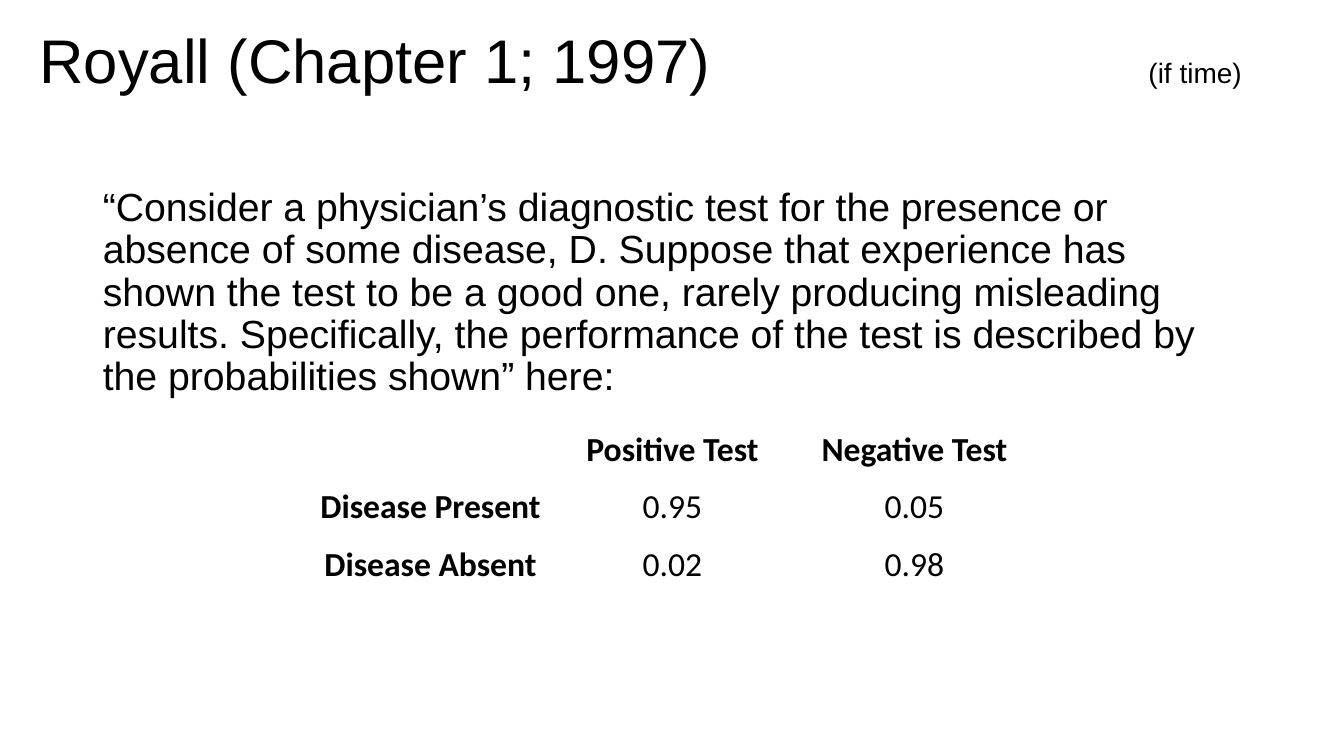
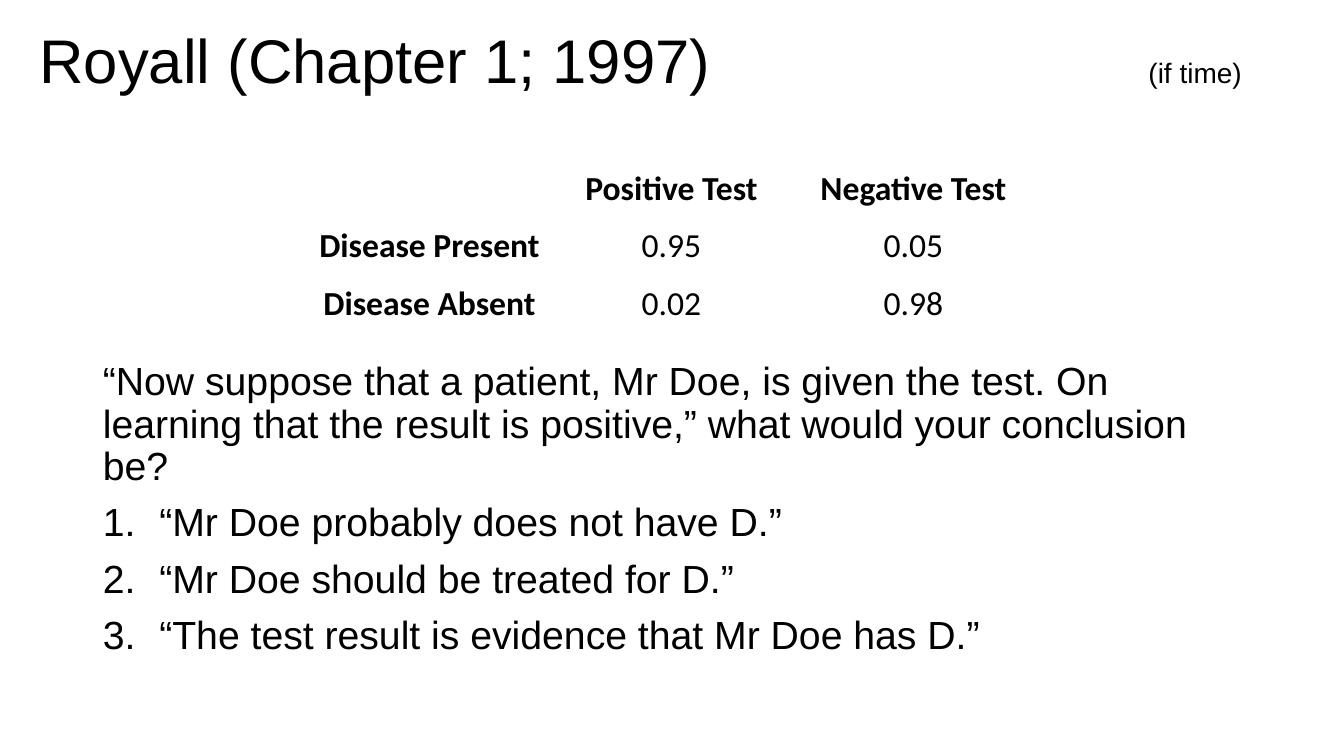
from dataclasses import dataclass
from typing import Any

from lxml import etree
from pptx import Presentation
from pptx.dml.color import RGBColor
from pptx.enum.text import MSO_ANCHOR, MSO_AUTO_SIZE, PP_ALIGN
from pptx.oxml.ns import qn
from pptx.util import Inches, Pt

LEFT, CENTER = PP_ALIGN.LEFT, PP_ALIGN.CENTER
TOP, MIDDLE = MSO_ANCHOR.TOP, MSO_ANCHOR.MIDDLE
NO_FIT = MSO_AUTO_SIZE.NONE

BLACK, WHITE = "000000", "FFFFFF"
TITLE = "Royall (Chapter 1; 1997)"
ASIDE = "(if time)"
ASIDE_LEFT = 11
INDENT = 0.56
COL_WIDTH, ROW_HEIGHT = 2.4, 0.57
ODDS = [
    ["", "Positive Test", "Negative Test"],
    ["Disease Present", "0.95", "0.05"],
    ["Disease Absent", "0.02", "0.98"],
]

TITLE_FONT = {"name": "Arial", "size": Pt(44), "bold": False}
ASIDE_FONT = {**TITLE_FONT, "size": Pt(20)}
BODY_FONT = {**TITLE_FONT, "size": Pt(28)}
CELL_FONT = {"name": "Calibri", "size": Pt(24)}
TITLE_FRAME = {"vertical_anchor": MIDDLE, "auto_size": NO_FIT, "word_wrap": True}
BODY_FRAME = {**TITLE_FRAME, "vertical_anchor": TOP}
TITLE_PARA = {"alignment": LEFT, "line_spacing": 0.9}
BODY_PARA = {**TITLE_PARA, "space_before": Pt(10)}


@dataclass(frozen=True)
class Page:
    quote: str
    choices: tuple[str, ...]
    body_top: float
    table_left: float
    table_top: float


PAGES = [
    Page(
        "“Consider a physician’s diagnostic test for the presence or absence "
        "of some disease, D. Suppose that experience has shown the test to be "
        "a good one, rarely producing misleading results. Specifically, the "
        "performance of the test is described by the probabilities shown” here:",
        (), 1.81, 3.07, 4.18,
    ),
    Page(
        "“Now suppose that a patient, Mr Doe, is given the test. On learning "
        "that the result is positive,” what would your conclusion be?",
        (
            "“Mr Doe probably does not have D.”",
            "“Mr Doe should be treated for D.”",
            "“The test result is evidence that Mr Doe has D.”",
        ),
        3.54, 3.06, 1.59,
    ),
]


def color(code: str) -> RGBColor:
    return RGBColor.from_string(code)


def apply(target: Any, values: dict[str, Any]) -> None:
    for name, value in values.items():
        setattr(target, name, value)


def place(shape: Any, left: float, top: float, width: float, height: float) -> None:
    box = {"left": left, "top": top, "width": width, "height": height}
    apply(shape, {name: Inches(value) for name, value in box.items()})


def write(para: Any, text: str, font: dict[str, Any]) -> None:
    run = para.add_run()
    run.text = text
    apply(run.font, font)
    run.font.color.rgb = color(BLACK)


def draw_title(shape: Any) -> None:
    place(shape, 0.29, 0.02, 12.73, 1.23)
    apply(shape.text_frame, TITLE_FRAME)
    para = shape.text_frame.paragraphs[0]
    apply(para, TITLE_PARA)
    stops = etree.SubElement(para._p.get_or_add_pPr(), qn("a:tabLst"))
    etree.SubElement(stops, qn("a:tab"), pos=str(Inches(ASIDE_LEFT)), algn="l")
    write(para, TITLE + "\t", TITLE_FONT)
    write(para, ASIDE, ASIDE_FONT)


def draw_line(para: Any, text: str, choice: bool) -> None:
    apply(para, BODY_PARA)
    props = para._p.get_or_add_pPr()
    indent = Inches(INDENT) if choice else 0
    props.set("marL", str(indent))
    props.set("indent", str(-indent))
    if choice:
        etree.SubElement(props, qn("a:buFont"), typeface="+mj-lt")
        etree.SubElement(props, qn("a:buAutoNum"), type="arabicPeriod")
    else:
        etree.SubElement(props, qn("a:buNone"))
    write(para, text, BODY_FONT)


def draw_body(shape: Any, page: Page) -> None:
    place(shape, 0.92, page.body_top, 11.5, 6.57 - page.body_top)
    frame = shape.text_frame
    apply(frame, BODY_FRAME)
    draw_line(frame.paragraphs[0], page.quote, False)
    for text in page.choices:
        draw_line(frame.add_paragraph(), text, True)


def draw_table(slide: Any, left: float, top: float) -> None:
    rows, cols = len(ODDS), len(ODDS[0])
    table = slide.shapes.add_table(
        rows, cols, Inches(left), Inches(top),
        Inches(cols * COL_WIDTH), Inches(rows * ROW_HEIGHT),
    ).table
    for row, texts in enumerate(ODDS):
        for col, text in enumerate(texts):
            cell = table.cell(row, col)
            cell.fill.solid()
            cell.fill.fore_color.rgb = color(WHITE)
            cell.vertical_anchor = MIDDLE
            if text:
                para = cell.text_frame.paragraphs[0]
                para.alignment = CENTER
                write(para, text, {**CELL_FONT, "bold": row == 0 or col == 0})


def main() -> None:
    deck = Presentation()
    deck.slide_width, deck.slide_height = Inches(13.33), Inches(7.5)
    for page in PAGES:
        slide = deck.slides.add_slide(deck.slide_layouts[1])
        draw_title(slide.shapes.title)
        draw_body(slide.placeholders[1], page)
        draw_table(slide, page.table_left, page.table_top)
    deck.save("out.pptx")


if __name__ == "__main__":
    main()
